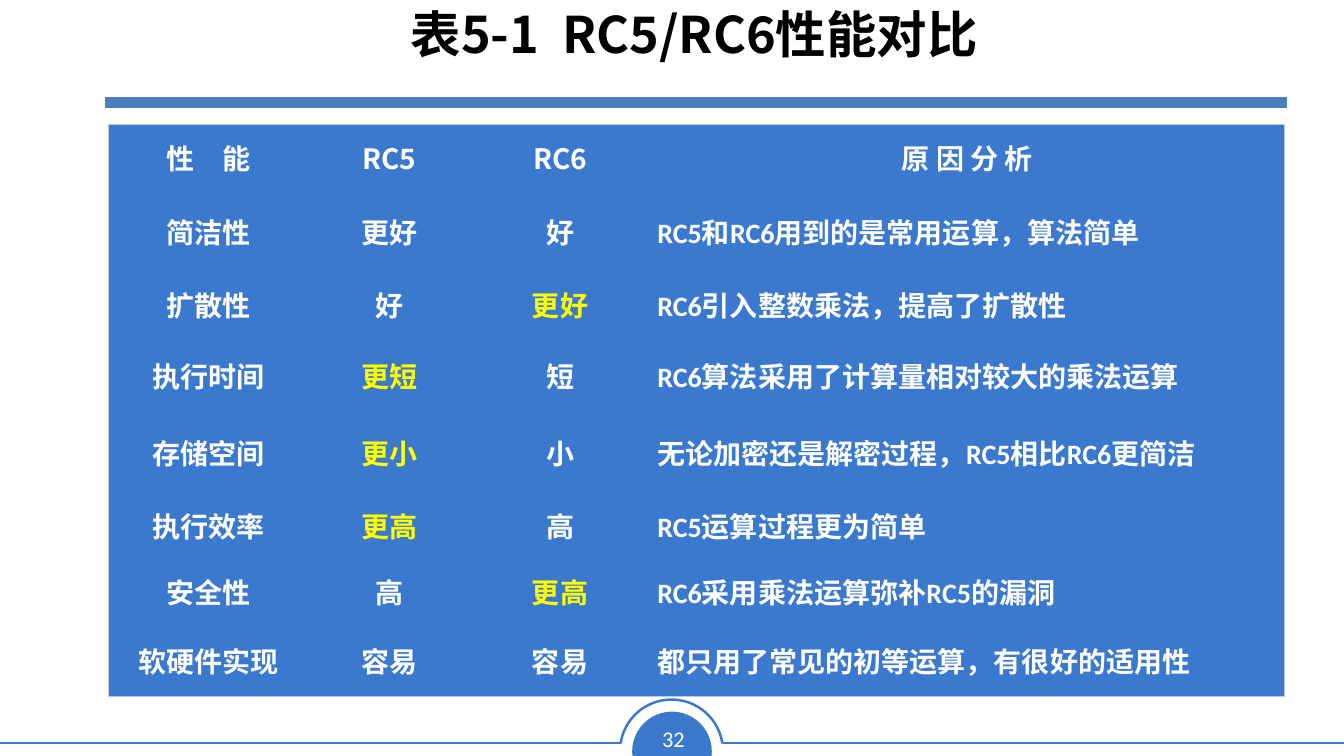
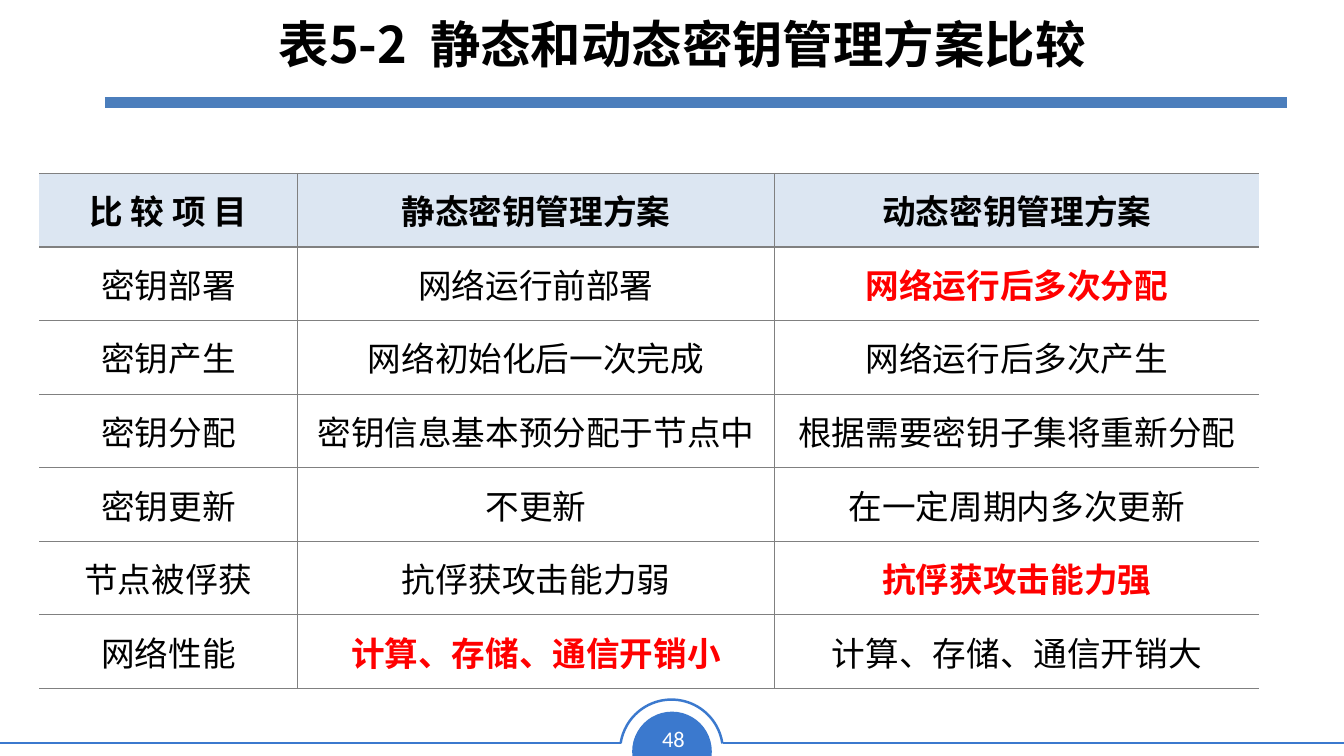
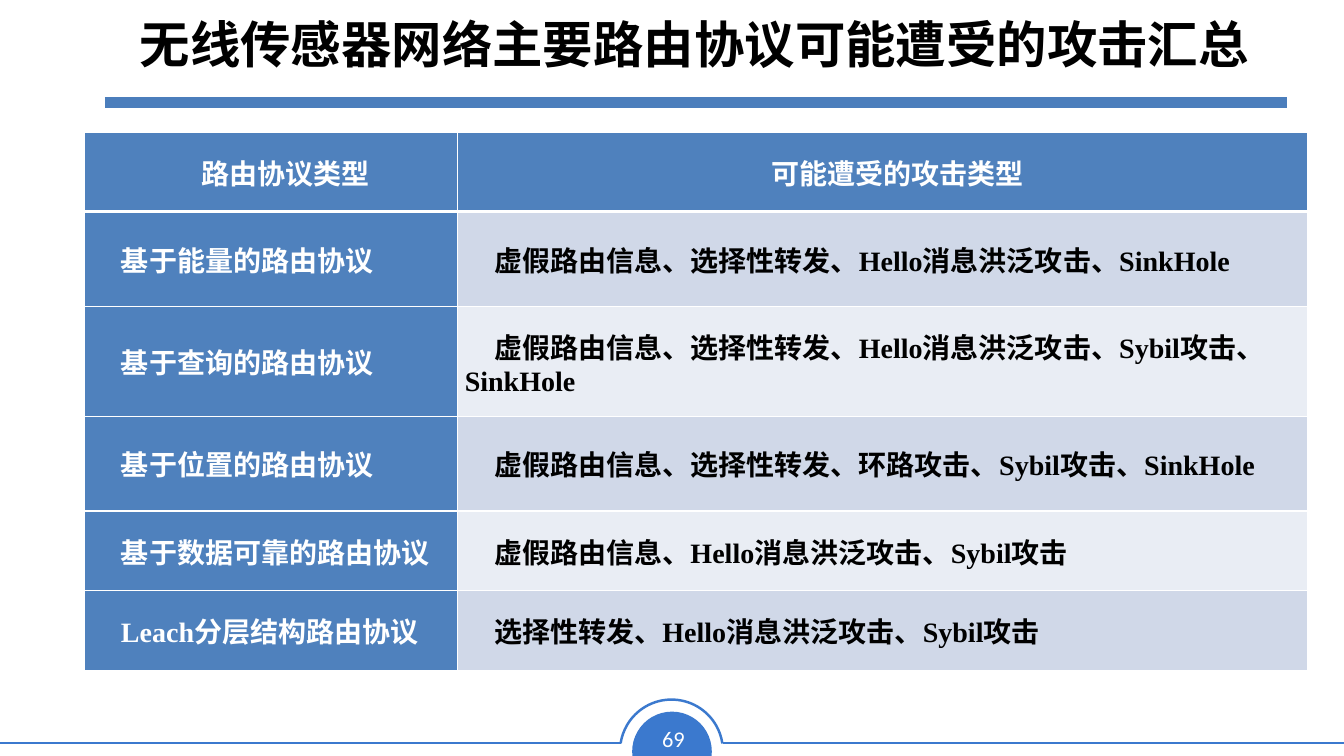
from dataclasses import dataclass

from lxml.etree import SubElement
from pptx import Presentation
from pptx.dml.color import RGBColor
from pptx.enum.shapes import MSO_CONNECTOR, MSO_SHAPE
from pptx.enum.text import MSO_ANCHOR, PP_ALIGN
from pptx.oxml.ns import qn
from pptx.util import Inches, Pt


@dataclass(frozen=True)
class Theme:
    accent: str = "3B79CE"
    band: str = "4B7EBC"
    white: str = "FFFFFF"
    black: str = "000000"
    yellow: str = "FFFF00"
    red: str = "FF0000"
    frame: str = "BDC8DD"
    grey: str = "808080"
    pale: str = "DCE6F2"
    steel: str = "4F81BD"
    stripe_dark: str = "D0D8E8"
    stripe_light: str = "E9EDF4"
    east_asian: str = "Noto Sans CJK SC"
    sans: str = "Calibri"
    serif: str = "Times New Roman"
    title_size: int = 36
    large_size: int = 24
    body_size: int = 20
    number_size: int = 16
    footer_line: float = 1.77


T = Theme()
CENTER, LEFT, JUSTIFY = PP_ALIGN.CENTER, PP_ALIGN.LEFT, PP_ALIGN.JUSTIFY

# Content: borders l/t/r/b are the frame, h/v the inner lines, head the line under the header
SLIDES = [
    dict(
        title="表5-1\tRC5/RC6性能对比", title_at=(1.04, 0.05), number="32",
        at=(1.08, 1.23), cols=[1.98, 1.6, 1.79, 6.29],
        heights=[0.66, 0.8, 0.66, 0.75, 0.78, 0.66, 0.66, 0.71],
        rows=[
            ("性　能", "RC5", "RC6", "原 因 分 析"),
            ("简洁性", "更好", "好", "RC5和RC6用到的是常用运算，算法简单"),
            ("扩散性", "好", "更好", "RC6引入整数乘法，提高了扩散性"),
            ("执行时间", "更短", "短", "RC6算法采用了计算量相对较大的乘法运算"),
            ("存储空间", "更小", "小", "无论加密还是解密过程，RC5相比RC6更简洁"),
            ("执行效率", "更高", "高", "RC5运算过程更为简单"),
            ("安全性", "高", "更高", "RC6采用乘法运算弥补RC5的漏洞"),
            ("软硬件实现", "容易", "容易", "都只用了常见的初等运算，有很好的适用性"),
        ],
        marked={(2, 2), (3, 1), (4, 1), (5, 1), (6, 2)}, mark_color=T.yellow,
        aligns=[CENTER, CENTER, CENTER, LEFT], size=T.body_size, bold=True, indent=0,
        head_font=T.east_asian, font=T.sans,
        head_color=T.white, first_color=T.white, color=T.white,
        head_fill=T.accent, first_fill=T.accent, fills=[T.accent],
        borders={side: (T.frame, 0.75) for side in "ltrb"},
    ),
    dict(
        title="表5-2\t静态和动态密钥管理方案比较", title_at=(0.92, 0.15), number="48",
        at=(0.39, 1.72), cols=[2.56, 4.73, 4.81], heights=[0.73] * 7,
        rows=[
            ("比 较 项 目", "静态密钥管理方案", "动态密钥管理方案"),
            ("密钥部署", "网络运行前部署", "网络运行后多次分配"),
            ("密钥产生", "网络初始化后一次完成", "网络运行后多次产生"),
            ("密钥分配", "密钥信息基本预分配于节点中", "根据需要密钥子集将重新分配"),
            ("密钥更新", "不更新", "在一定周期内多次更新"),
            ("节点被俘获", "抗俘获攻击能力弱", "抗俘获攻击能力强"),
            ("网络性能", "计算、存储、通信开销小", "计算、存储、通信开销大"),
        ],
        marked={(1, 2), (5, 2), (6, 1)}, mark_color=T.red,
        aligns=[CENTER] * 3, size=T.large_size, bold=False, indent=0,
        head_font=T.serif, font=T.serif,
        head_color=T.black, first_color=T.black, color=T.black,
        head_fill=T.pale, first_fill=None, fills=[None],
        borders={side: (T.grey, 1) for side in "tbhv"},
    ),
    dict(
        title="无线传感器网络主要路由协议可能遭受的攻击汇总",
        title_at=(1.04, 0.15), number="69",
        at=(0.84, 1.31), cols=[3.7, 8.43], heights=[0.79, 0.94, 1.09, 0.94, 0.79, 0.79],
        rows=[
            ("路由协议类型", "可能遭受的攻击类型"),
            ("基于能量的路由协议", "虚假路由信息、选择性转发、Hello消息洪泛攻击、SinkHole"),
            ("基于查询的路由协议", "虚假路由信息、选择性转发、Hello消息洪泛攻击、Sybil攻击、SinkHole"),
            ("基于位置的路由协议", "虚假路由信息、选择性转发、环路攻击、Sybil攻击、SinkHole"),
            ("基于数据可靠的路由协议", "虚假路由信息、Hello消息洪泛攻击、Sybil攻击"),
            ("Leach分层结构路由协议", "选择性转发、Hello消息洪泛攻击、Sybil攻击"),
        ],
        marked=set(), mark_color=None,
        aligns=[JUSTIFY, LEFT], size=T.body_size, bold=True, indent=0.29,
        head_font=T.serif, font=T.serif,
        head_color=T.white, first_color=T.white, color=T.black,
        head_fill=T.steel, first_fill=T.steel, fills=[T.stripe_dark, T.stripe_light],
        borders={**{side: (T.white, 1) for side in "ltrbhv"}, "head": (T.white, 3)},
    ),
]


# Text and line helpers
def rgb(value):
    return RGBColor.from_string(value)


def add_run(p, text, size, font, color, bold=False):
    r = p.add_run()
    r.text = text
    r.font.size, r.font.bold, r.font.name = Pt(size), bold, font
    r.font.color.rgb = rgb(color)
    SubElement(r.font._element, qn("a:ea")).set("typeface", T.east_asian)


def add_text(slide, box, text, size, font, color, bold=False, wrap=True, spacing=1.0):
    tf = slide.shapes.add_textbox(*map(Inches, box)).text_frame
    tf.word_wrap = wrap
    p = tf.paragraphs[0]
    p.alignment, p.line_spacing = CENTER, spacing
    add_run(p, text, size, font, color, bold)


def add_line(slide, x1, x2, y, color, width):
    ends = map(Inches, (x1, y, x2, y))
    line = slide.shapes.add_connector(MSO_CONNECTOR.STRAIGHT, *ends)
    line.line.color.rgb, line.line.width = rgb(color), Pt(width)
    SubElement(line._element.spPr, qn("a:effectLst"))


def add_round(slide, kind, left, top, size, angles):
    sp = slide.shapes.add_shape(kind, *map(Inches, (left, top, size, size)))
    sp.shadow.inherit = False
    sp.adjustments[0], sp.adjustments[1] = angles
    return sp


# Shared parts: footer, title band, title
def add_frame(slide, title, title_at, number):
    disc = add_round(slide, MSO_SHAPE.CHORD, 6.27, 7.06, 0.79, (35.77, 153.29))
    disc.rotation = 112.4
    disc.fill.solid()
    disc.fill.fore_color.rgb = rgb(T.accent)
    disc.line.fill.background()
    for x1, x2 in ((7.17, 13.33), (0, 6.16)):
        add_line(slide, x1, x2, 7.37, T.accent, T.footer_line)
    ring = add_round(slide, MSO_SHAPE.ARC, 6.15, 6.94, 1.02, (113.17, 210.98))
    ring.fill.background()
    ring.line.color.rgb, ring.line.width = rgb(T.accent), Pt(T.footer_line)
    add_text(slide, (6.45, 7.14, 0.46, 0.37), number, T.number_size, T.sans, T.white,
             wrap=False)
    add_line(slide, 1.04, 12.76, 1.02, T.band, 8)
    add_text(slide, (*title_at, 11.69, 0.92), title, T.title_size, T.east_asian, T.black,
             bold=True, spacing=0.9)


# Tables
def set_borders(cell, edges):
    tc_pr = cell._tc.get_or_add_tcPr()
    for i, (tag, edge) in enumerate(zip(("lnL", "lnR", "lnT", "lnB"), edges)):
        ln = SubElement(tc_pr, qn(f"a:{tag}"))
        tc_pr.insert(i, ln)
        if edge:
            color, width = edge
            ln.set("w", str(Pt(width)))
            SubElement(SubElement(ln, qn("a:solidFill")), qn("a:srgbClr")).set("val", color)
        else:
            SubElement(ln, qn("a:noFill"))


def cell_edges(borders, row, col, last_row, last_col):
    inner = borders.get("h")
    head = borders.get("head", inner)
    top = borders.get("t") if row == 0 else head if row == 1 else inner
    bottom = borders.get("b") if row == last_row else head if row == 0 else inner
    return (borders.get("l" if col == 0 else "v"),
            borders.get("r" if col == last_col else "v"), top, bottom)


def cell_style(d, row, col):
    """Font, text colour, fill, bold and alignment of one cell."""
    if row == 0:
        return d["head_font"], d["head_color"], d["head_fill"], True, CENTER
    marked = (row, col) in d["marked"]
    color = d["first_color"] if col == 0 else d["color"]
    fill = d["first_fill"] if col == 0 else d["fills"][(row - 1) % len(d["fills"])]
    return (d["font"], d["mark_color"] if marked else color, fill,
            d["bold"] or marked, d["aligns"][col])


def fill_cell(cell, text, d, row, col):
    font, color, fill, bold, align = cell_style(d, row, col)
    cell.margin_left = cell.margin_right = Inches(0.07)
    cell.margin_top = cell.margin_bottom = 0
    cell.vertical_anchor = MSO_ANCHOR.MIDDLE
    if fill:
        cell.fill.solid()
        cell.fill.fore_color.rgb = rgb(fill)
    else:
        cell.fill.background()
    p = cell.text_frame.paragraphs[0]
    p.alignment = align
    p.space_before = p.space_after = Pt(1 if row == 0 else 2)
    if d["indent"]:
        p._p.get_or_add_pPr().set("indent", str(Inches(d["indent"])))
    add_run(p, text, d["size"], font, color, bold)


def add_data_table(slide, d):
    rows, cols, heights = d["rows"], d["cols"], d["heights"]
    box = map(Inches, (*d["at"], sum(cols), sum(heights)))
    table = slide.shapes.add_table(len(rows), len(cols), *box).table
    table.first_row = table.horz_banding = False
    for column, width in zip(table.columns, cols):
        column.width = Inches(width)
    for i, (texts, height) in enumerate(zip(rows, heights)):
        table.rows[i].height = Inches(height)
        for j, text in enumerate(texts):
            cell = table.cell(i, j)
            fill_cell(cell, text, d, i, j)
            set_borders(cell, cell_edges(d["borders"], i, j, len(rows) - 1, len(cols) - 1))


def main():
    prs = Presentation()
    prs.slide_width, prs.slide_height = Inches(13.33), Inches(7.5)
    for d in SLIDES:
        slide = prs.slides.add_slide(prs.slide_layouts[6])
        add_frame(slide, d["title"], d["title_at"], d["number"])
        add_data_table(slide, d)
    prs.save("out.pptx")


if __name__ == "__main__":
    main()
